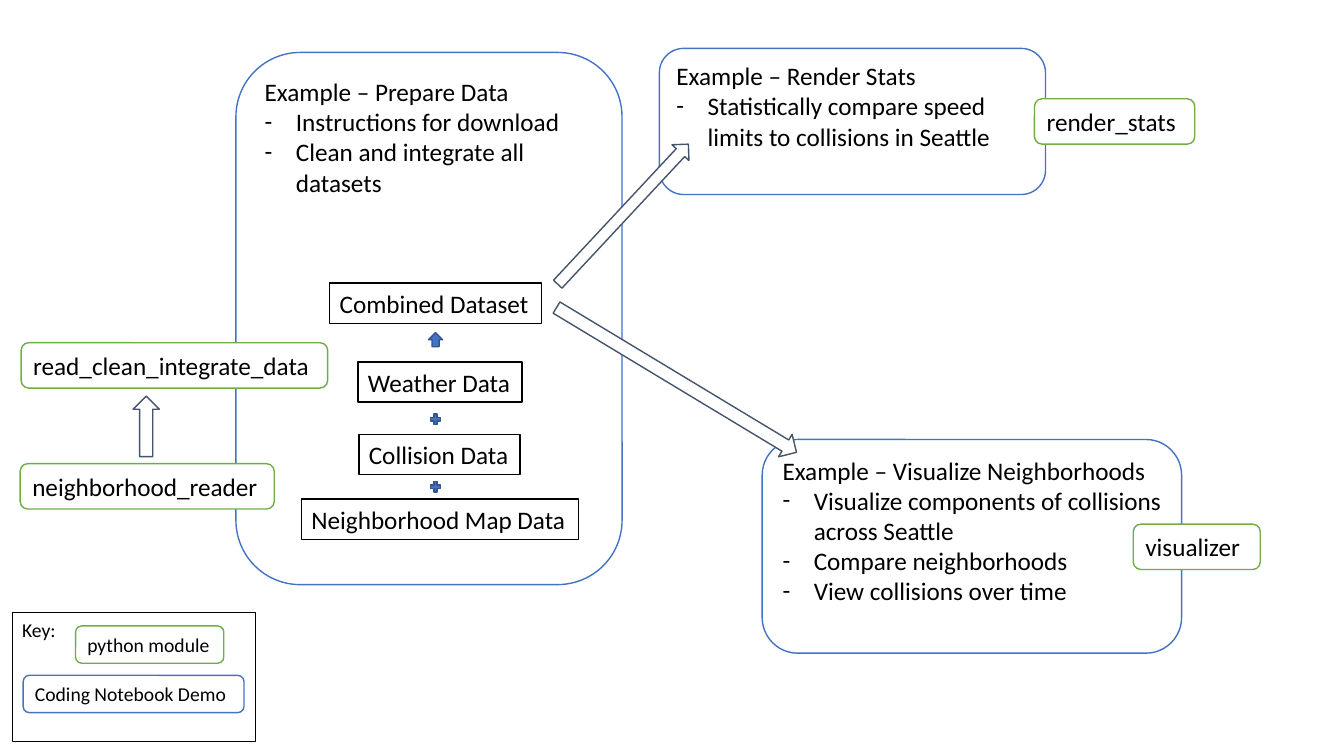
"""Build the slide that maps notebook demos, datasets and python modules."""
from lxml.etree import SubElement
from pptx import Presentation
from pptx.dml.color import RGBColor
from pptx.enum.shapes import MSO_SHAPE
from pptx.enum.text import MSO_ANCHOR, PP_ALIGN
from pptx.oxml.ns import qn
from pptx.util import Inches, Pt

COLORS = {
    "black": "000000",
    "white": "FFFFFF",
    "notebook": "4472C4",
    "module": "70AD47",
    "symbol_line": "325491",
    "arrow_line": "44546A",
}
FONT = "Calibri"
BODY_SIZE, KEY_SIZE = 18, 14
BULLET_INDENT = 0.31
DATASET_HEIGHT, MODULE_HEIGHT, KEY_LABEL_HEIGHT = 0.4, 0.45, 0.37
SYMBOL_LEFT, SYMBOL_SIZE = 4.25, 0.14

KEY_BOX = (0.12, 6.08, 2.41, 1.28)
NOTEBOOKS = [
    ((2.34, 0.52, 3.83, 5.28), "Example – Prepare Data",
     ["Instructions for download", "Clean and integrate all datasets"]),
    ((6.54, 0.48, 3.83, 1.45), "Example – Render Stats",
     ["Statistically compare speed limits to collisions in Seattle"]),
    ((7.56, 4.36, 4.16, 2.12), "Example – Visualize Neighborhoods",
     ["Visualize components of collisions across Seattle",
      "Compare neighborhoods", "View collisions over time"]),
]
DATASETS = [
    ("Combined Dataset", 3.27, 2.81, 2.1),
    ("Weather Data", 3.55, 3.59, 1.63),
    ("Collision Data", 3.56, 4.31, 1.6),
    ("Neighborhood Map Data", 2.99, 4.95, 2.75),
]
SYMBOLS = [
    (MSO_SHAPE.UP_ARROW, 3.3),
    (MSO_SHAPE.MATH_PLUS, 4.09),
    (MSO_SHAPE.MATH_PLUS, 4.76),
]
MODULES = [
    ("read_clean_integrate_data", 0.21, 3.4, 3.04),
    ("neighborhood_reader", 0.2, 4.6, 2.52),
    ("render_stats", 10.26, 0.98, 1.59),
    ("visualizer", 11.24, 5.2, 1.26),
]
ARROWS = [
    ((5.32, 3.64, 2.78, 0.26), 31.1),
    ((5.23, 2.01, 1.9, 0.23), 313),
    ((1.15, 4.1, 0.6, 0.26), 270),
]
KEY_LABELS = [
    ("Coding Notebook Demo", 0.23, 6.7, 2.19, "notebook"),
    ("python module", 0.75, 6.21, 1.47, "module"),
]


def add_box(slide, preset, box, line, fill=None, line_width=1):
    """Add a flat preset shape."""
    shape = slide.shapes.add_shape(preset, *map(Inches, box))
    shape.shadow.inherit = False
    shape.line.color.rgb = RGBColor.from_string(COLORS[line])
    shape.line.width = Pt(line_width)
    if fill:
        shape.fill.solid()
        shape.fill.fore_color.rgb = RGBColor.from_string(COLORS[fill])
    else:
        shape.fill.background()
    return shape


def add_bullet(paragraph):
    """Give a paragraph a hanging dash."""
    properties = paragraph._p.get_or_add_pPr()
    properties.set("marL", str(Inches(BULLET_INDENT)))
    properties.set("indent", str(-Inches(BULLET_INDENT)))
    SubElement(properties, qn("a:buFont")).set("typeface", FONT)
    SubElement(properties, qn("a:buChar")).set("char", "-")


def write_text(shape, heading, bullets=(), size=BODY_SIZE, wrap=True):
    """Write a heading and its dashed points from the top left."""
    frame = shape.text_frame
    frame.text = "\n".join([heading, *bullets])
    frame.word_wrap = wrap
    frame.vertical_anchor = MSO_ANCHOR.TOP
    for paragraph in frame.paragraphs:
        paragraph.alignment = PP_ALIGN.LEFT
        for run in paragraph.runs:
            run.font.name = FONT
            run.font.size = Pt(size)
            run.font.color.rgb = RGBColor.from_string(COLORS["black"])
    for paragraph in frame.paragraphs[1:]:
        add_bullet(paragraph)


presentation = Presentation()
presentation.slide_width = Inches(13.33)
presentation.slide_height = Inches(7.5)
slide = presentation.slides.add_slide(presentation.slide_layouts[6])

key = add_box(slide, MSO_SHAPE.RECTANGLE, KEY_BOX, "black", line_width=0.75)
write_text(key, "Key:", size=KEY_SIZE)

for box, heading, bullets in NOTEBOOKS:
    notebook = add_box(slide, MSO_SHAPE.ROUNDED_RECTANGLE, box, "notebook")
    write_text(notebook, heading, bullets)

for name, left, top, width in DATASETS:
    box = (left, top, width, DATASET_HEIGHT)
    dataset = add_box(slide, MSO_SHAPE.RECTANGLE, box, "black", "white")
    write_text(dataset, name, wrap=False)

for preset, top in SYMBOLS:
    box = (SYMBOL_LEFT, top, SYMBOL_SIZE, SYMBOL_SIZE)
    add_box(slide, preset, box, "symbol_line", "notebook")

for name, left, top, width in MODULES:
    box = (left, top, width, MODULE_HEIGHT)
    module = add_box(slide, MSO_SHAPE.ROUNDED_RECTANGLE, box, "module", "white")
    write_text(module, name)

for box, rotation in ARROWS:
    arrow = add_box(slide, MSO_SHAPE.RIGHT_ARROW, box, "arrow_line", "white")
    arrow.rotation = rotation

for name, left, top, width, color in KEY_LABELS:
    box = (left, top, width, KEY_LABEL_HEIGHT)
    label = add_box(slide, MSO_SHAPE.ROUNDED_RECTANGLE, box, color, "white")
    write_text(label, name, size=KEY_SIZE)

presentation.save("out.pptx")
